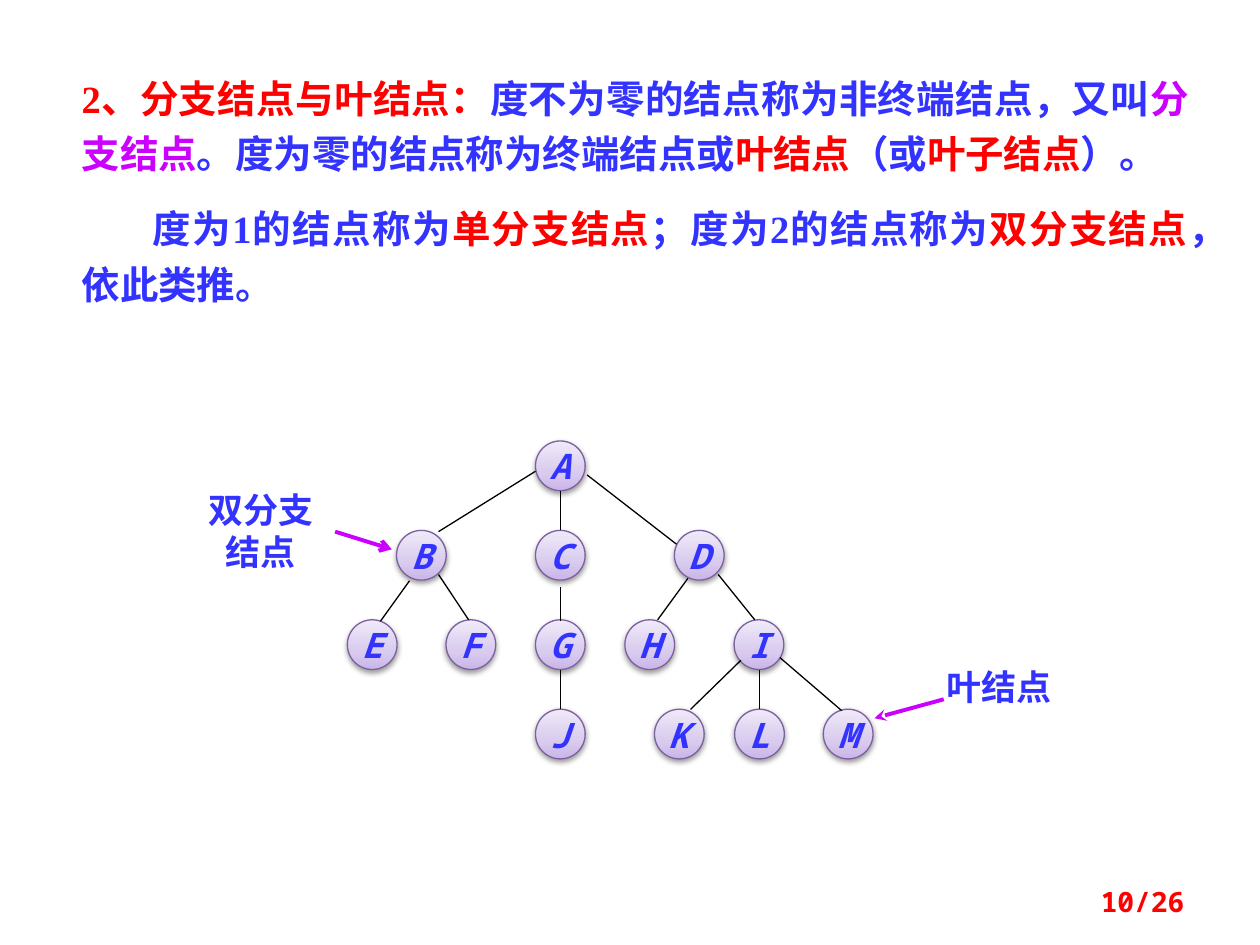
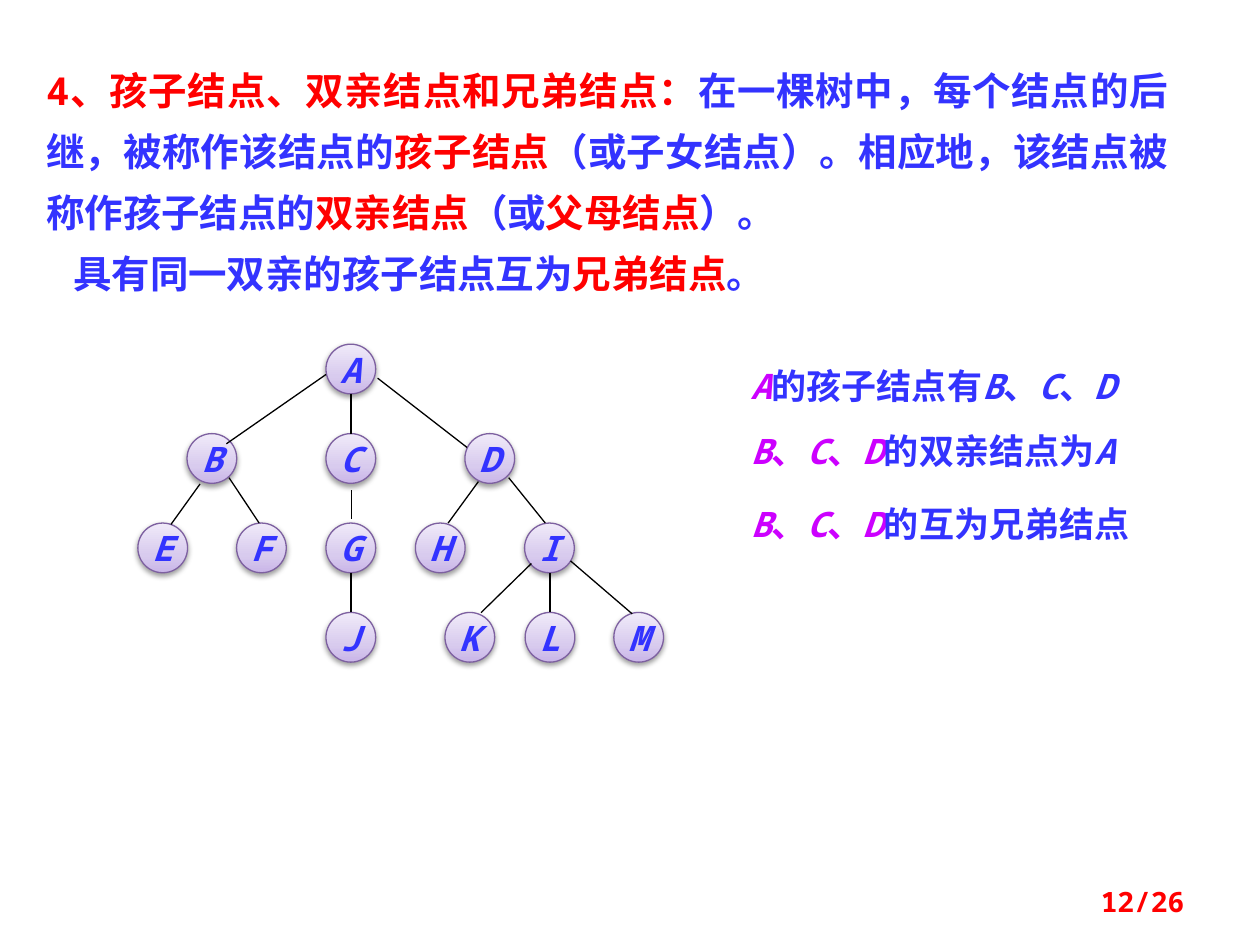
from itertools import groupby

from pptx import Presentation
from pptx.dml.color import RGBColor
from pptx.enum.shapes import MSO_CONNECTOR, MSO_SHAPE
from pptx.enum.text import MSO_ANCHOR as Anchor
from pptx.enum.text import MSO_AUTO_SIZE as AutoSize
from pptx.enum.text import PP_ALIGN as Align
from pptx.oxml import parse_xml
from pptx.oxml.ns import nsdecls, qn
from pptx.util import Pt

MONO, SERIF = "Noto Sans Mono", "Times New Roman"
RED, BLUE, MAGENTA, BLACK = "FF0000", "3333FF", "CC00FF", "000000"
NODE_LINE = "7D60A0"
NODE_STOPS = [(0, "C9B5E8"), (35, "D8CBEE"), (100, "F0EAF9")]
PAGE_TOTAL = 26

# Tree measures are relative to the top left corner of the root.
NODE_SIZE, LEVEL_STEP = 28.4, 51.1
LEVELS = [
    {"A": 0},
    {"B": -79.4, "C": 0, "D": 79.4},
    {"E": -107.5, "F": -51.1, "G": 0, "H": 51.1, "I": 113.5},
    {"J": 0, "K": 68, "L": 113.8, "M": 164.5},
]
SLANTED_EDGES = [
    ((29.5, 19.4), (80.6, 59)),
    ((-72, 79.9), (-88.6, 103)),
    ((-55.4, 76.3), (-38.2, 102.2)),
    ((87.1, 78.5), (69.8, 102.2)),
    ((104.4, 76.3), (125.3, 102.2)),
    ((117.4, 125.3), (88.6, 153.4)),
    ((139.7, 123.8), (175, 154.1)),
]
UPRIGHT_EDGES = ["AC", "GJ", "IL"]


def color(code):
    return RGBColor.from_string(code)


def set_values(target, values):
    for name, value in values.items():
        setattr(target, name, value)


class TreeDeck:
    def __init__(self):
        self.deck = Presentation()
        self.deck.slide_width, self.deck.slide_height = Pt(720), Pt(540)
        self.page = None

    def add_page(self, number):
        self.page = self.deck.slides.add_slide(self.deck.slide_layouts[6])
        self.text((516.2, 500.4, 167.8, 28.8), [[(f"{number}/{PAGE_TOTAL}", RED)]],
                  size=16, align=Align.RIGHT, anchor=Anchor.MIDDLE, grow=False)

    def fill_paragraph(self, para, spans, size=20, font=MONO):
        """Add spans of (text, colour) or (text, colour, italic)."""
        for text, code, *italic in spans:
            span = para.add_run()
            span.text = text
            set_values(span.font, {"name": font, "size": Pt(size), "bold": True,
                                   "italic": any(italic)})
            span.font.color.rgb = color(code)

    def text(self, bounds, paragraphs, size=20, font=MONO, align=Align.LEFT,
             anchor=Anchor.TOP, grow=True, spacing=None, gap=0, indent=0):
        """Add a text box; gap and indent apply from the second paragraph on."""
        frame = self.page.shapes.add_textbox(*map(Pt, bounds)).text_frame
        set_values(frame, {"word_wrap": True, "vertical_anchor": anchor,
                           "auto_size": AutoSize.SHAPE_TO_FIT_TEXT if grow else AutoSize.NONE})
        for index, spans in enumerate(paragraphs):
            para = frame.add_paragraph() if index else frame.paragraphs[0]
            set_values(para, {"alignment": align, "line_spacing": spacing})
            if index:
                para.space_before = Pt(gap)
                para._p.get_or_add_pPr().set("indent", str(Pt(indent)))
            self.fill_paragraph(para, spans, size, font)

    def note(self, top, subject, rest):
        """Add one line about the tree, with node letters in italics."""
        spans = [("".join(letters), code, is_letter)
                 for text, code in ((subject, MAGENTA), (rest, BLUE))
                 for is_letter, letters in groupby(text, str.isascii)]
        self.text((421.9, top, 281.5, 31.7), [spans])

    def line(self, start, end, code=BLACK, width=0.75, head=None):
        line = self.page.shapes.add_connector(
            MSO_CONNECTOR.STRAIGHT, *map(Pt, (*start, *end)))
        line.line.color.rgb = color(code)
        line.line.width = Pt(width)
        properties = line._element.spPr
        if head:
            properties.find(qn("a:ln")).append(
                parse_xml(f'<a:tailEnd {nsdecls("a")} type="{head}"/>'))
        properties.append(parse_xml(f'<a:effectLst {nsdecls("a")}/>'))
        return line

    def pointer(self, start, end, head):
        self.line(start, end, MAGENTA, 2.25, head)

    def node(self, letter, left, top):
        node = self.page.shapes.add_shape(
            MSO_SHAPE.OVAL, *map(Pt, (left, top, NODE_SIZE, NODE_SIZE)))
        node.line.color.rgb = color(NODE_LINE)
        node.line.width = Pt(0.75)
        node.shadow.inherit = False
        properties = node._element.spPr
        stops = "".join(f'<a:gs pos="{place * 1000}"><a:srgbClr val="{code}"/></a:gs>'
                        for place, code in NODE_STOPS)
        properties.find(qn("a:prstGeom")).addnext(parse_xml(
            f'<a:gradFill {nsdecls("a")} rotWithShape="1"><a:gsLst>{stops}</a:gsLst>'
            '<a:lin ang="16200000" scaled="0"/></a:gradFill>'))
        properties.find(qn("a:effectLst")).append(parse_xml(
            f'<a:outerShdw {nsdecls("a")} blurRad="{Pt(3.1)}" dist="{Pt(1.6)}" '
            'dir="5400000" rotWithShape="0"><a:srgbClr val="000000">'
            '<a:alpha val="38000"/></a:srgbClr></a:outerShdw>'))
        frame = node.text_frame
        set_values(frame, {"word_wrap": False, "vertical_anchor": Anchor.MIDDLE})
        para = frame.paragraphs[0]
        para.alignment = Align.CENTER
        self.fill_paragraph(para, [(letter, BLUE, True)])
        return node

    def tree(self, left, top, b_end, g_end):
        """Draw the tree; b_end and g_end are where the lines to B and G stop."""
        nodes = {letter: self.node(letter, left + x, top + level * LEVEL_STEP)
                 for level, row in enumerate(LEVELS) for letter, x in row.items()}
        edges = [((0, 17.3), b_end), ((14.4, 83.5), g_end), *SLANTED_EDGES]
        for start, end in edges:
            self.line(*((left + x, top + y) for x, y in (start, end)))
        for parent, child in UPRIGHT_EDGES:
            middle = nodes[child].left.pt + NODE_SIZE / 2
            bottom = nodes[parent].top.pt + NODE_SIZE
            edge = self.line((middle, bottom), (middle, nodes[child].top.pt))
            edge.end_connect(nodes[child], 0)


def add_branch_and_leaf_page(deck):
    deck.add_page(10)
    deck.text((39.6, 33.8, 646.6, 145.4), [
        [("2、分支结点与叶结点：", RED),
         ("度不为零的结点称为非终端结点，又叫", BLUE),
         ("分支结点", MAGENTA),
         ("。度为零的结点称为终端结点或", BLUE),
         ("叶结点", RED), ("（或", BLUE), ("叶子结点", RED), ("）。", BLUE)],
        [("度为1的结点称为", BLUE), ("单分支结点", RED),
         ("；度为2的结点称为", BLUE), ("双分支结点", RED), ("，依此类推。", BLUE)],
    ], size=22, font=SERIF, align=Align.JUSTIFY, spacing=1.2, gap=11.4, indent=40.6)
    deck.text((528.5, 376.6, 85, 31.7), [[("叶结点", BLUE)]], align=Align.CENTER)
    deck.text((106.6, 275.8, 85, 55.4), [[("双分支结点", BLUE)]], align=Align.CENTER)
    deck.pointer((539.3, 399.6), (499.7, 410.4), "stealth")
    deck.pointer((191.5, 303.8), (223.9, 313.9), "arrow")
    deck.tree(306, 252, b_end=(-55.4, 51.8), g_end=(14.4, 103))


def add_family_page(deck):
    deck.add_page(12)
    deck.text((19.4, 25.9, 655.2, 148.3), [
        [("4、孩子结点、双亲结点和兄弟结点：", RED),
         ("在一棵树中，每个结点的后继，被称作该结点的", BLUE),
         ("孩子结点", RED),
         ("（或子女结点）。相应地，该结点被称作孩子结点的", BLUE),
         ("双亲结点", RED), ("（或", BLUE), ("父母结点", RED), ("）。", BLUE)],
        [("具有同一双亲的孩子结点互为", BLUE), ("兄弟结点", RED), ("。", BLUE)],
    ], size=22, align=Align.JUSTIFY, spacing=Pt(35), indent=15.4)
    deck.tree(186.3, 196.7, b_end=(-56.9, 56.9), g_end=(14.4, 100))
    deck.note(204.5, "A", "的孩子结点有B、C、D")
    deck.note(241.9, "B、C、D", "的双亲结点为A")
    deck.note(283.7, "B、C、D", "的互为兄弟结点")


def main():
    deck = TreeDeck()
    add_branch_and_leaf_page(deck)
    add_family_page(deck)
    deck.deck.save("out.pptx")


if __name__ == "__main__":
    main()
